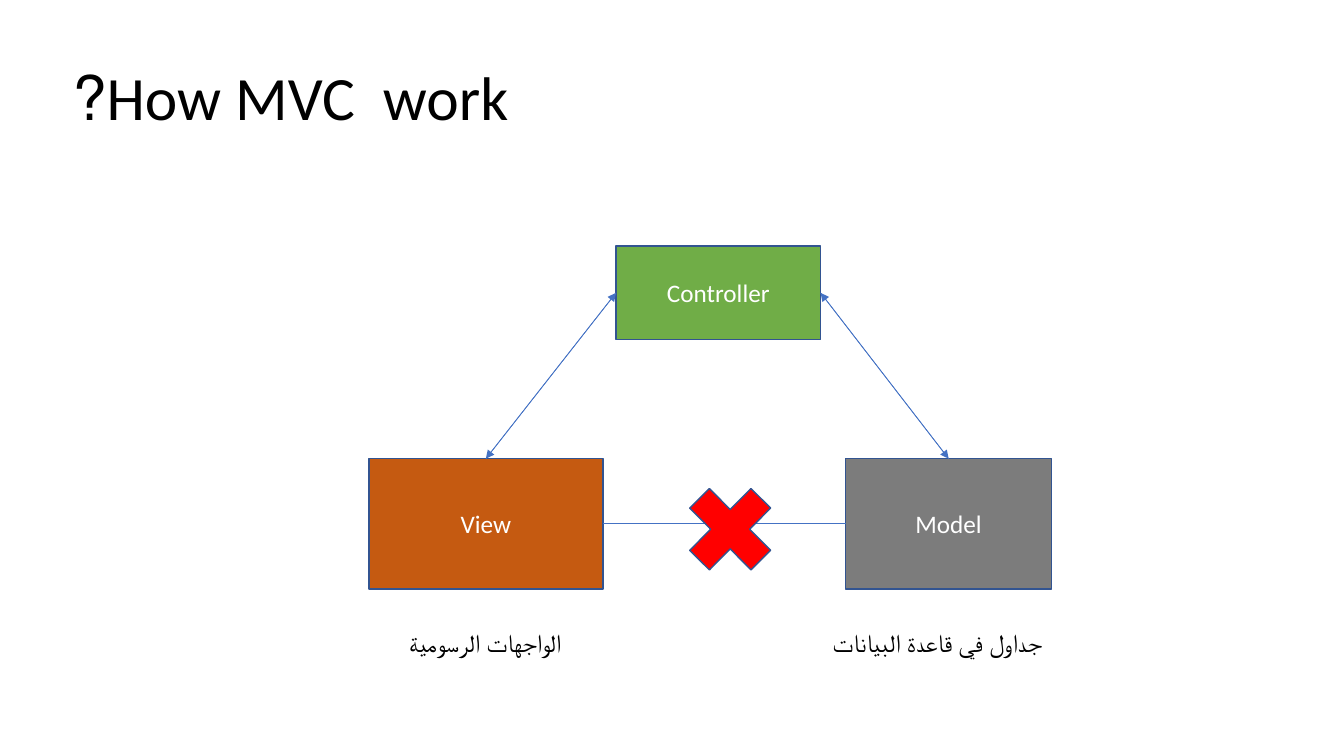
"""Build a slide showing how the controller links the view and the model."""
from dataclasses import dataclass

from lxml.etree import SubElement
from pptx import Presentation
from pptx.dml.color import RGBColor
from pptx.enum.shapes import MSO_CONNECTOR, MSO_SHAPE
from pptx.enum.text import MSO_ANCHOR, MSO_AUTO_SIZE, PP_ALIGN
from pptx.oxml.ns import qn
from pptx.util import Pt


@dataclass(frozen=True)
class Theme:
    font: str = "Calibri"
    title_size: float = 44
    body_size: float = 18
    ink: str = "000000"
    paper: str = "FFFFFF"
    outline: str = "325491"
    link: str = "4472C4"
    controller: str = "70AD47"
    view: str = "C55A11"
    model: str = "7C7C7C"
    cross: str = "FF0000"


theme = Theme()
TOP, LEFT, RIGHT = 0, 1, 3


def write(box, text, size, color, alignment, frame_format, spacing=None):
    frame = box.text_frame
    for name, value in {"word_wrap": True, **frame_format}.items():
        setattr(frame, name, value)
    para = frame.paragraphs[0]
    for name, value in {"alignment": alignment, "line_spacing": spacing}.items():
        setattr(para, name, value)
    para._p.get_or_add_pPr().set("rtl", "1")
    span = para.add_run()
    span.text = text
    for name, value in {"name": theme.font, "size": Pt(size)}.items():
        setattr(span.font, name, value)
    span.font.color.rgb = RGBColor.from_string(color)


def add_filled(kind, place, fill):
    box = slide.shapes.add_shape(kind, *map(Pt, place))
    box.shadow.inherit = False
    box.fill.solid()
    box.fill.fore_color.rgb = RGBColor.from_string(fill)
    box.line.color.rgb = RGBColor.from_string(theme.outline)
    box.line.width = Pt(1)
    return box


deck = Presentation()
deck.slide_width, deck.slide_height = Pt(960), Pt(540)
slide = deck.slides.add_slide(deck.slide_layouts[6])
middle = {"vertical_anchor": MSO_ANCHOR.MIDDLE}

title = slide.shapes.add_textbox(Pt(44.6), Pt(19.4), Pt(828), Pt(104.4))
write(title, "How MVC  work?", theme.title_size, theme.ink, PP_ALIGN.LEFT, middle, 0.9)

parts = {}
for name, place, fill in (
    ("Controller", (440, 175.7, 146.2, 67), theme.controller),
    ("View", (263.5, 327.6, 167.2, 93), theme.view),
    ("Model", (604.1, 327.6, 147, 93), theme.model),
):
    parts[name] = add_filled(MSO_SHAPE.RECTANGLE, place, fill)
    write(parts[name], name, theme.body_size, theme.paper, PP_ALIGN.CENTER, middle)

controller_left, view_top = ("Controller", LEFT), ("View", TOP)
controller_right, model_top = ("Controller", RIGHT), ("Model", TOP)
for start, end, arrow in (
    (controller_left, view_top, True),
    (view_top, controller_left, True),
    (controller_right, model_top, True),
    (model_top, controller_right, True),
    (("View", RIGHT), ("Model", LEFT), False),
):
    link = slide.shapes.add_connector(MSO_CONNECTOR.STRAIGHT, 0, 0, 0, 0)
    link.begin_connect(parts[start[0]], start[1])
    link.end_connect(parts[end[0]], end[1])
    link.line.color.rgb = RGBColor.from_string(theme.link)
    link.line.width = Pt(0.5)
    if arrow:
        SubElement(link.line._get_or_add_ln(), qn("a:tailEnd"), type="triangle")
    SubElement(link._element.spPr, qn("a:effectLst"))

caption_format = {"auto_size": MSO_AUTO_SIZE.SHAPE_TO_FIT_TEXT}
for text, left, width in (
    ("الواجهات الرسومية", 264.2, 144),
    ("جداول في قاعدة البيانات", 586.1, 165.6),
):
    caption = slide.shapes.add_textbox(Pt(left), Pt(444.2), Pt(width), Pt(29))
    write(caption, text, theme.body_size, theme.ink, PP_ALIGN.RIGHT, caption_format)

add_filled(MSO_SHAPE.MATH_MULTIPLY, (479.5, 335.5, 84.2, 85), theme.cross)

deck.save("out.pptx")
